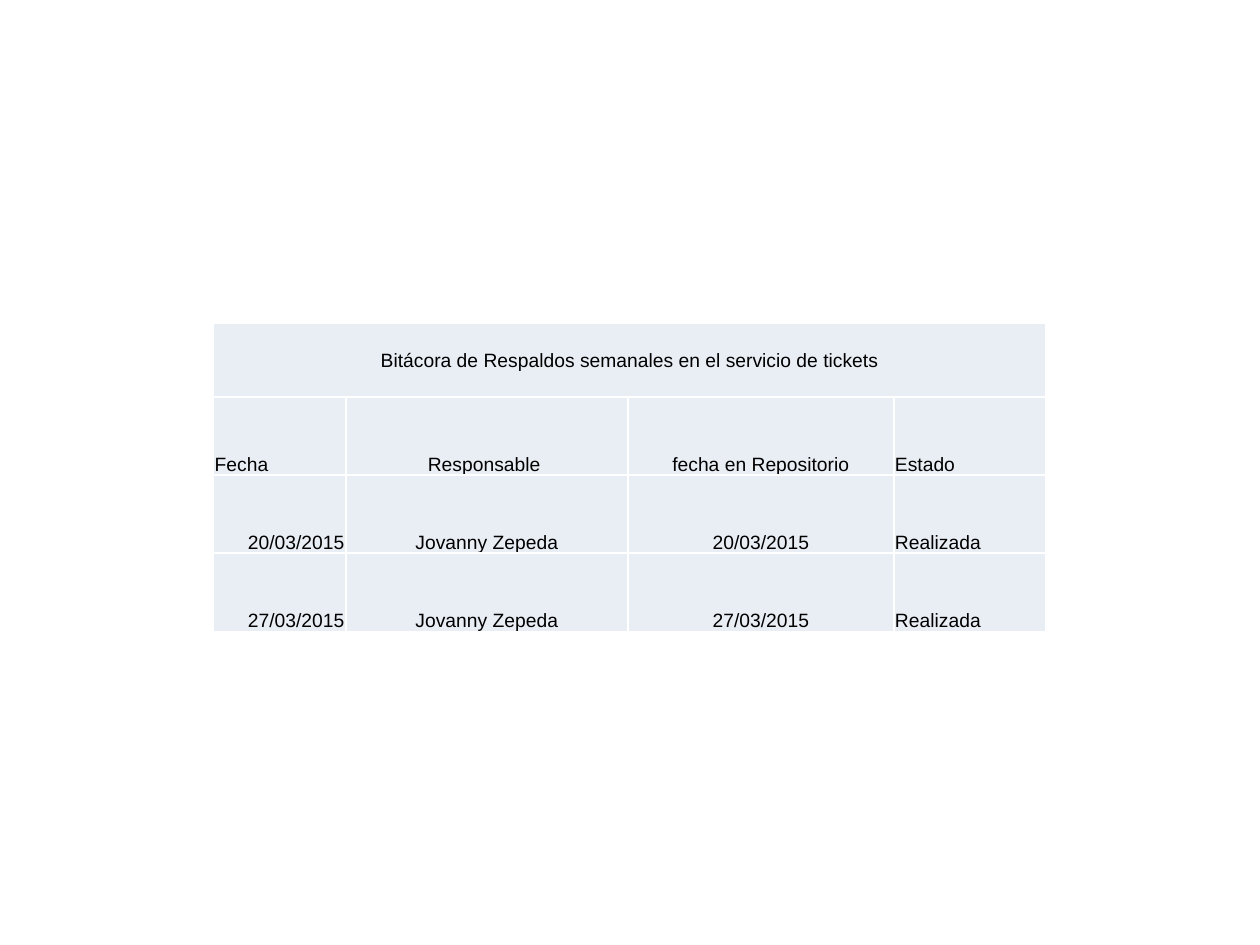
from lxml import etree
from pptx import Presentation
from pptx.dml.color import RGBColor
from pptx.enum.text import MSO_ANCHOR as Anchor, PP_ALIGN as Align
from pptx.oxml.ns import qn
from pptx.util import Pt

TITLE = "Bitácora de Respaldos semanales en el servicio de tickets"
HEADERS = ["Fecha", "Responsable ", "fecha en Repositorio", "Estado"]
BACKUPS = [
    [date, "Jovanny Zepeda", date, "Realizada"]
    for date in ("20/03/2015", "27/03/2015")
]
COLUMN_WIDTHS = [75.6, 161.3, 151.9, 87.1]
ROW_HEIGHTS = [41.8, 44.7, 44.7, 44.7]
HEADER_ALIGNS = [Align.LEFT, Align.CENTER, Align.CENTER, Align.LEFT]
BACKUP_ALIGNS = [Align.RIGHT, *HEADER_ALIGNS[1:]]


def color(value):
    return RGBColor.from_string(value)


def add_borders(cell, value, width):
    properties = cell._tc.get_or_add_tcPr()
    for index, side in enumerate(("lnL", "lnR", "lnT", "lnB")):
        line = etree.Element(qn(f"a:{side}"), w=str(Pt(width)))
        fill = etree.SubElement(line, qn("a:solidFill"))
        etree.SubElement(fill, qn("a:srgbClr"), val=value)
        properties.insert(index, line)


def style_cell(cell):
    cell.margin_left = cell.margin_right = cell.margin_top = Pt(0.7)
    cell.margin_bottom = Pt(0)
    cell.fill.solid()
    cell.fill.fore_color.rgb = color("E9EDF4")
    add_borders(cell, "FFFFFF", 1)


def write_cell(cell, text, align, anchor=Anchor.BOTTOM):
    cell.vertical_anchor = anchor
    paragraph = cell.text_frame.paragraphs[0]
    paragraph.alignment = align
    run = paragraph.add_run()
    run.text = text
    run.font.name = "Arial"
    run.font.size = Pt(11)
    run.font.bold = False
    run.font.color.rgb = color("000000")


def add_backup_log(slide, left, top):
    table = slide.shapes.add_table(
        len(ROW_HEIGHTS), len(COLUMN_WIDTHS), Pt(left), Pt(top),
        Pt(sum(COLUMN_WIDTHS)), Pt(sum(ROW_HEIGHTS)),
    ).table
    table.first_row = table.horz_banding = False
    for column, width in zip(table.columns, COLUMN_WIDTHS):
        column.width = Pt(width)
    for row, height in zip(table.rows, ROW_HEIGHTS):
        row.height = Pt(height)
    for cell in table.iter_cells():
        style_cell(cell)

    title_cell = table.cell(0, 0)
    title_cell.merge(table.cell(0, len(COLUMN_WIDTHS) - 1))
    write_cell(title_cell, TITLE, Align.CENTER, Anchor.MIDDLE)
    for row_index, texts in enumerate([HEADERS, *BACKUPS], start=1):
        aligns = HEADER_ALIGNS if row_index == 1 else BACKUP_ALIGNS
        for column_index, (text, align) in enumerate(zip(texts, aligns)):
            write_cell(table.cell(row_index, column_index), text, align)


def main():
    presentation = Presentation()
    presentation.slide_width = Pt(720)
    presentation.slide_height = Pt(540)
    slide = presentation.slides.add_slide(presentation.slide_layouts[6])
    add_backup_log(slide, left=122, top=185)
    presentation.save("out.pptx")


if __name__ == "__main__":
    main()
